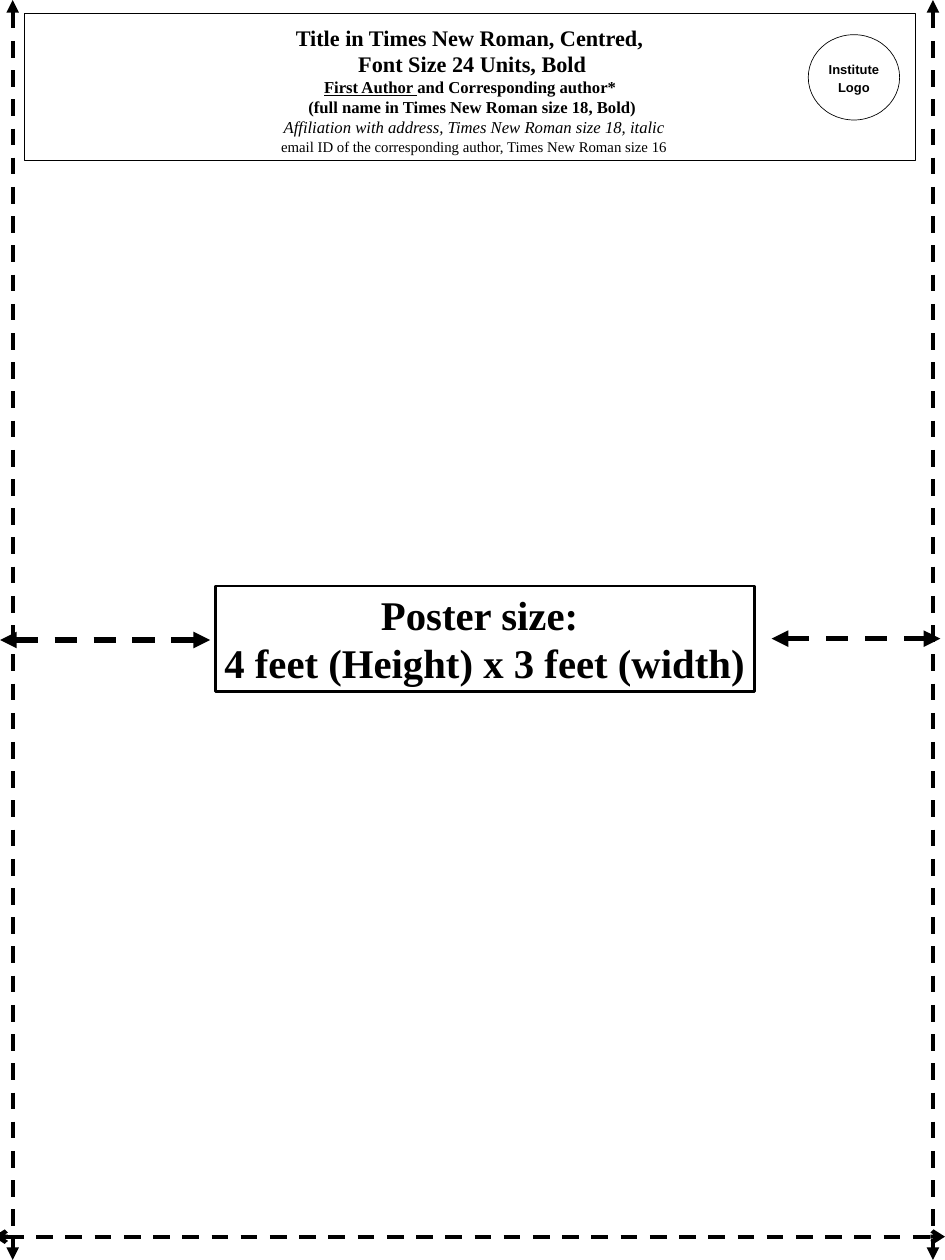
from lxml import etree
from pptx import Presentation
from pptx.dml.color import RGBColor
from pptx.enum.dml import MSO_LINE
from pptx.enum.shapes import MSO_CONNECTOR, MSO_SHAPE
from pptx.enum.text import MSO_ANCHOR, MSO_AUTO_SIZE, PP_ALIGN
from pptx.oxml.ns import qn
from pptx.util import Inches, Pt

DASH, STRAIGHT = MSO_LINE.DASH, MSO_CONNECTOR.STRAIGHT
RECT, OVAL = MSO_SHAPE.RECTANGLE, MSO_SHAPE.OVAL
CENTER, MIDDLE = PP_ALIGN.CENTER, MSO_ANCHOR.MIDDLE
GROW = MSO_AUTO_SIZE.SHAPE_TO_FIT_TEXT
BLACK, WHITE = RGBColor(0, 0, 0), RGBColor(255, 255, 255)
SERIF, SANS = "Times New Roman", "Arial"

# Content: paragraphs of (text, size, styles) runs
WIDTH, HEIGHT = 14.17, 18.9
HEADING = [
    [("Title in Times New Roman, Centred, ", 24, "b")],
    [("Font Size 24 Units, Bold", 24, "b")],
    [("First Author ", 18, "bu"), ("and Corresponding author* ", 18, "b")],
    [("(full name in Times New Roman size 18, Bold)", 18, "b")],
    [(" Affiliation with address, Times New Roman size 18, italic", 18, "i")],
    [(" email ID of the corresponding author, Times New Roman size 16", 16, "")],
]
POSTER_SIZE = [
    [("Poster size: ", 44, "b")],
    [("4 feet (Height) x 3 feet (width)", 44, "b")],
]
LOGO_LABEL = [[("Institute Logo", 14, "b")]]

# Dimension arrows: x1, y1, x2, y2, line width, arrowhead
ARROWS = [
    (11.57, 9.58, 14.1, 9.58, 6, "triangle"),
    (0, 9.6, 3.15, 9.6, 6, "triangle"),
    (0.19, 0, 0.19, HEIGHT, 4.5, "triangle"),
    (13.99, 0, 13.99, HEIGHT, 4.5, "triangle"),
    (-0.1, 18.55, WIDTH, 18.55, 4.5, "arrow"),
]


def set_line(sp, width):
    sp.line.color.rgb = BLACK
    sp.line.width = Pt(width)


def add_outline(kind, box, width):
    sp = slide.shapes.add_shape(kind, *map(Inches, box))
    sp.shadow.inherit = False
    sp.fill.background()
    set_line(sp, width)
    return sp


def write(tf, paragraphs, font):
    for i, runs in enumerate(paragraphs):
        p = tf.paragraphs[0] if i == 0 else tf.add_paragraph()
        p.alignment = CENTER
        for text, size, styles in runs:
            r = p.add_run()
            r.text = text
            r.font.name, r.font.size = font, Pt(size)
            r.font.color.rgb = BLACK
            r.font.bold = "b" in styles
            r.font.italic = "i" in styles
            r.font.underline = "u" in styles


def add_text(box, paragraphs, wrap):
    sp = slide.shapes.add_textbox(*map(Inches, box))
    tf = sp.text_frame
    tf.word_wrap = wrap
    tf.auto_size = GROW
    write(tf, paragraphs, SERIF)
    return sp


def add_arrow(x1, y1, x2, y2, width, head):
    line = slide.shapes.add_connector(STRAIGHT, *map(Inches, (x1, y1, x2, y2)))
    set_line(line, width)
    line.line.dash_style = DASH
    ln = line.line._get_or_add_ln()
    for end in ("a:headEnd", "a:tailEnd"):
        etree.SubElement(ln, qn(end), type=head)
    etree.SubElement(line._element.spPr, qn("a:effectLst"))


prs = Presentation()
prs.slide_width, prs.slide_height = Inches(WIDTH), Inches(HEIGHT)
slide = prs.slides.add_slide(prs.slide_layouts[6])

# Heading frame and text
add_outline(RECT, (0.37, 0.2, 13.35, 2.21), 0.75)
add_text((0.27, 0.31, 13.62, 2.12), HEADING, True)

# Logo placeholder
logo = add_outline(OVAL, (12.12, 0.52, 1.37, 1.28), 0.75)
logo.fill.solid()
logo.fill.fore_color.rgb = WHITE
tf = logo.text_frame
tf.word_wrap = True
tf.vertical_anchor = MIDDLE
write(tf, LOGO_LABEL, SANS)
tf.paragraphs[0].line_spacing = 1.15
tf.paragraphs[0].space_after = Pt(8)

# Poster size box and dimension arrows
set_line(add_text((3.23, 8.79, 8.08, 1.58), POSTER_SIZE, False), 3)
for arrow in ARROWS:
    add_arrow(*arrow)

prs.save("out.pptx")
